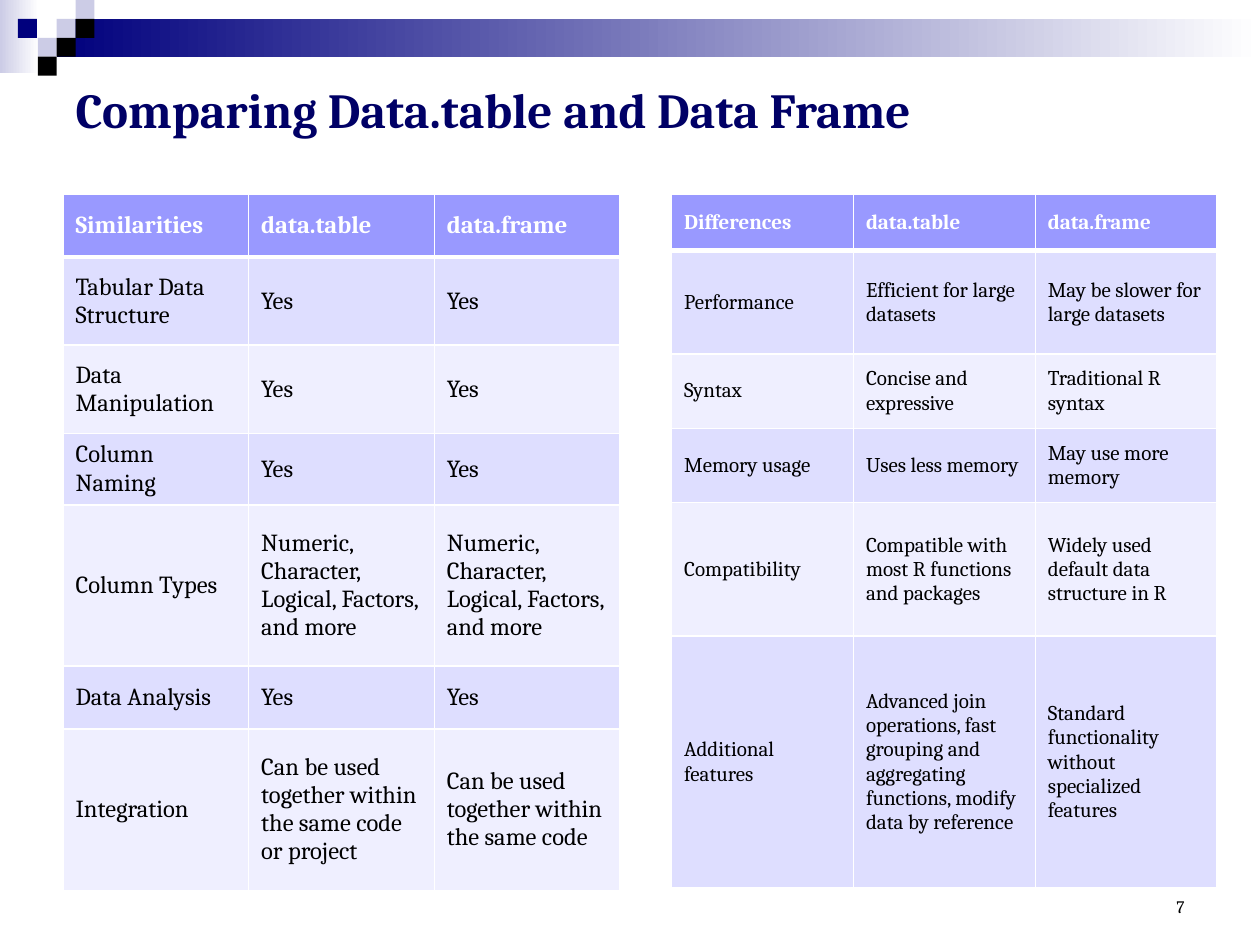
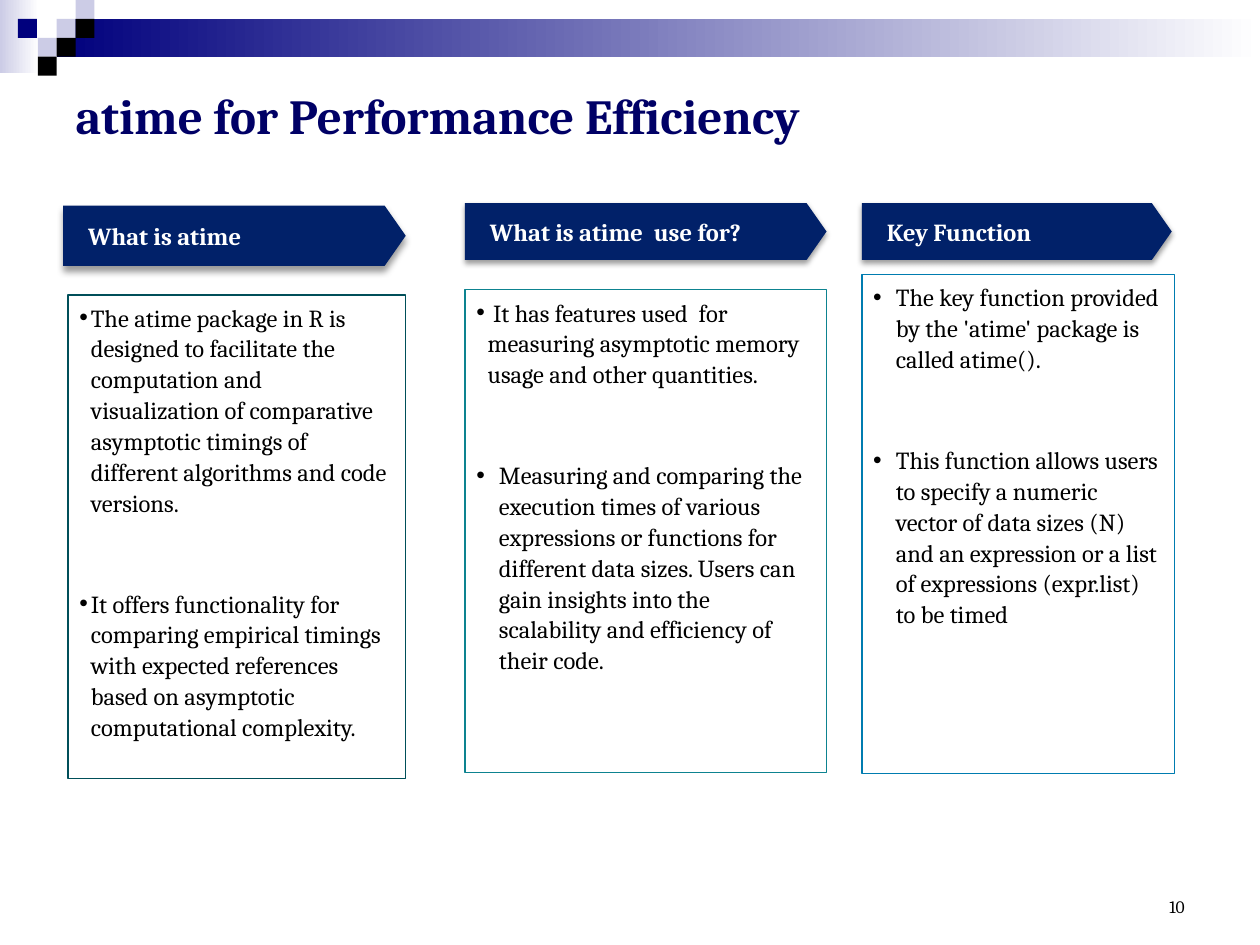
import pptx
import pptx.util
import pptx.dml.color
import pptx.enum.shapes
import pptx.enum.text
import lxml.etree

deck = pptx.Presentation()
deck.slide_width, deck.slide_height = pptx.util.Inches(10), pptx.util.Inches(7.5)

# Shared grid: hundredths of the slide's width and height
COL, ROW = deck.slide_width / 100, deck.slide_height / 100
FONT = "Cambria"
NAVY, PALE, BLACK, WHITE = "00007D", "CCCCE6", "000000", "FFFFFF"
LILAC, TINTS = "9999FF", ("DEDEFF", "EFEFFF")
TITLE, FLAG = "000066", "012169"
ink = pptx.dml.color.RGBColor.from_string
Pt = pptx.util.Pt
RECT = pptx.enum.shapes.MSO_SHAPE.RECTANGLE
ARROW = pptx.enum.shapes.MSO_SHAPE.PENTAGON
ALIGN = pptx.enum.text.PP_ALIGN
ANCHOR = pptx.enum.text.MSO_ANCHOR
FIXED = pptx.enum.text.MSO_AUTO_SIZE.NONE
A = 'xmlns:a="http://schemas.openxmlformats.org/drawingml/2006/main"'


def spot(x, y, w, h):
    """Turn grid columns and rows into left, top, width and height."""
    return int(x * COL), int(y * ROW), int(w * COL), int(h * ROW)


def write(par, text, size, hue=BLACK, bold=False, align=ALIGN.LEFT):
    """Add one run to a paragraph."""
    par.alignment = align
    run = par.add_run()
    run.text = text
    run.font.name, run.font.size, run.font.bold = FONT, Pt(size), bold
    run.font.color.rgb = ink(hue)


# Corner pattern: gradient bands, then tiles
bands = [((0, 0, 3.1, 7.73), PALE), ((4.5, 2, 95.5, 4), NAVY)]
tiles = [(3, 1, PALE), (4, 0, PALE), (4, 1, BLACK), (2, 2, PALE),
         (0.95, 1, NAVY), (3, 2, BLACK), (2, 3, BLACK)]
side = 1.5, 2

# What differs per slide: layout, title, title box, bottom inset, number
pages = [
    (5, "Comparing Data.table and Data Frame", (5, 8.4, 90, 12.3), 0.5, "7"),
    (4, "atime for Performance Efficiency", (5, 6.67, 90, 11.07), 0.05, "10"),
]
slides = []
for lay, name, area, inset, num in pages:
    slide = deck.slides.add_slide(deck.slide_layouts[lay])
    slides.append(slide)
    for box, hue in bands:
        band = slide.shapes.add_shape(RECT, *spot(*box))
        band.shadow.inherit = False
        band.line.fill.background()
        band.fill.gradient()
        band.fill.gradient_angle = 0
        for stop, tone in zip(band.fill.gradient_stops, (hue, WHITE)):
            stop.color.rgb = ink(tone)
    for x, y, hue in tiles:
        tile = slide.shapes.add_shape(RECT, *spot(x * side[0], y * side[1], *side))
        tile.shadow.inherit = False
        tile.line.fill.background()
        tile.fill.solid()
        tile.fill.fore_color.rgb = ink(hue)

    head = slide.shapes.title
    head.left, head.top, head.width, head.height = spot(*area)
    frame = head.text_frame
    frame.auto_size, frame.vertical_anchor = FIXED, ANCHOR.MIDDLE
    frame.margin_bottom = pptx.util.Inches(inset)
    write(frame.paragraphs[0], name, 28, TITLE, True)

    foot = slide.shapes.add_textbox(*spot(71.7, 91.07, 23.3, 6.67)).text_frame
    foot.word_wrap, foot.vertical_anchor = True, ANCHOR.BOTTOM
    write(foot.paragraphs[0], num, 10, align=ALIGN.RIGHT)

# Slide 1: two tables
mix = "Numeric, Character, Logical, Factors, and more"
same = "Can be used together within the same code"
alike = [
    ("Similarities", "data.table", "data.frame"),
    ("Tabular Data Structure", "Yes", "Yes"),
    ("Data Manipulation", "Yes", "Yes"),
    ("Column Naming", "Yes", "Yes"),
    ("Column Types", mix, mix),
    ("Data Analysis", "Yes", "Yes"),
    ("Integration", same + " or project", same),
]
differ = [
    ("Differences", "data.table", "data.frame"),
    ("Performance", "Efficient for large datasets", "May be slower for large datasets"),
    ("Syntax", "Concise and expressive", "Traditional R syntax"),
    ("Memory usage", "Uses less memory", "May use more memory"),
    ("Compatibility", "Compatible with most R functions and packages",
     "Widely used default data structure in R"),
    ("Additional features",
     "Advanced join operations, fast grouping and aggregating functions, "
     "modify data by reference",
     "Standard functionality without specialized features"),
]
grids = [
    (alike, 5, 44.2, 14, (6.67, 9.33, 9.33, 6.67, 17.07, 6.67, 17.07)),
    (differ, 53.3, 43.3, 12, (6, 10.93, 7.87, 7.87, 14.13, 26.67)),
]
for data, left, wide, size, highs in grids:
    area = spot(left, 20.53, wide, sum(highs))
    grid = slides[0].shapes.add_table(len(data), len(data[0]), *area).table
    for r, line in enumerate(data):
        grid.rows[r].height = int(highs[r] * ROW)
        for c, text in enumerate(line):
            cell = grid.cell(r, c)
            cell.vertical_anchor = ANCHOR.MIDDLE
            cell.fill.solid()
            cell.fill.fore_color.rgb = ink(TINTS[(r - 1) % 2] if r else LILAC)
            write(cell.text_frame.paragraphs[0], text, size,
                  BLACK if r else WHITE, r == 0)
            # White rules, thicker under the header
            thick = {"T": 3 if r == 1 else 1, "B": 1 if r else 3}
            props = cell._tc.get_or_add_tcPr()
            for i, edge in enumerate("LRTB"):
                props.insert(i, lxml.etree.fromstring(
                    f'<a:ln{edge} {A} w="{Pt(thick.get(edge, 1))}"><a:solidFill>'
                    f'<a:srgbClr val="{WHITE}"/></a:solidFill></a:ln{edge}>'))

# Slide 2: arrow header, list box, line colour, shadow (alpha, blur, drop),
# then each point with its indent
parts = [
    ("What is atime", (5, 21.75, 27.2, 6.4), (5.4, 31.2, 26.8, 51.2),
     "004F59", (40, 4, 3), [
         (0.09, "The atime package in R is designed to facilitate the computation "
          "and visualization of comparative asymptotic timings of different "
          "algorithms and code versions."),
         (0.09, "It offers functionality for comparing empirical timings with "
          "expected references based on asymptotic computational complexity.")]),
    ("What is atime  use for?", (36.9, 21.5, 28.7, 6), (36.9, 30.67, 28.7, 51.1),
     "0D8390", (38, 3.1, 1.6), [
         (0.09, " It has features used  for measuring asymptotic memory usage "
          "and other quantities."),
         (0.18, "Measuring and comparing the execution times of various "
          "expressions or functions for different data sizes. Users can gain "
          "insights into the scalability and efficiency of their code.")]),
    ("Key Function", (68.4, 21.5, 24.6, 6), (68.4, 29.07, 24.8, 52.8),
     "007CB0", (38, 3.1, 1.6), [
         (0.18, "The key function provided by the 'atime' package is called atime()."),
         (0.18, "This function allows users to specify a numeric vector of data "
          "sizes (N) and an expression or a list of expressions (expr.list) "
          "to be timed")]),
]
slide = slides[1]
bodies = [b for b in slide.placeholders if b.placeholder_format.idx > 0]
for body, (name, flag, area, edge, shade, points) in zip(bodies, parts):
    # Arrow header
    arrow = slide.shapes.add_shape(ARROW, *spot(*flag))
    arrow.adjustments[0] = 0.35
    arrow.line.fill.background()
    arrow.fill.solid()
    arrow.fill.fore_color.rgb = ink(FLAG)
    arrow.shadow.inherit = False
    alpha, blur, drop = shade
    arrow._element.spPr.find(pptx.oxml.ns.qn("a:effectLst")).append(
        lxml.etree.fromstring(
            f'<a:outerShdw {A} blurRad="{Pt(blur)}" dist="{Pt(drop)}" dir="5400000" '
            f'rotWithShape="0"><a:srgbClr val="{BLACK}">'
            f'<a:alpha val="{alpha * 1000}"/></a:srgbClr></a:outerShdw>'))
    arrow.text_frame.vertical_anchor = ANCHOR.MIDDLE
    par = arrow.text_frame.paragraphs[0]
    par._p.get_or_add_pPr().set("marL", str(pptx.util.Inches(0.1)))
    write(par, name, 14, WHITE, True)

    # List box
    body.left, body.top, body.width, body.height = spot(*area)
    body.line.color.rgb = ink(edge)
    body.line.width = Pt(0.75)
    frame = body.text_frame
    frame.auto_size, frame.vertical_anchor = FIXED, ANCHOR.TOP
    frame.margin_left = frame.margin_right = pptx.util.Inches(0.09)
    frame.margin_top = pptx.util.Inches(0.05)
    frame.margin_bottom = pptx.util.Inches(0.09)
    for i, (dent, text) in enumerate(points):
        par = frame.add_paragraph() if i else frame.paragraphs[0]
        par.line_spacing = 1.05
        par.space_before, par.space_after = Pt(34 if i else 6), Pt(6)
        props = par._p.get_or_add_pPr()
        props.set("marL", str(pptx.util.Inches(dent)))
        props.set("indent", str(-pptx.util.Inches(dent)))
        for mark in (f'<a:buClr {A}><a:srgbClr val="{BLACK}"/></a:buClr>',
                     f'<a:buFont {A} typeface="Arial"/>',
                     f'<a:buChar {A} char="•"/>'):
            props.append(lxml.etree.fromstring(mark))
        write(par, text, 14)

# Drop the body left without a list
for spare in bodies[len(parts):]:
    spare._element.getparent().remove(spare._element)

deck.save("out.pptx")
